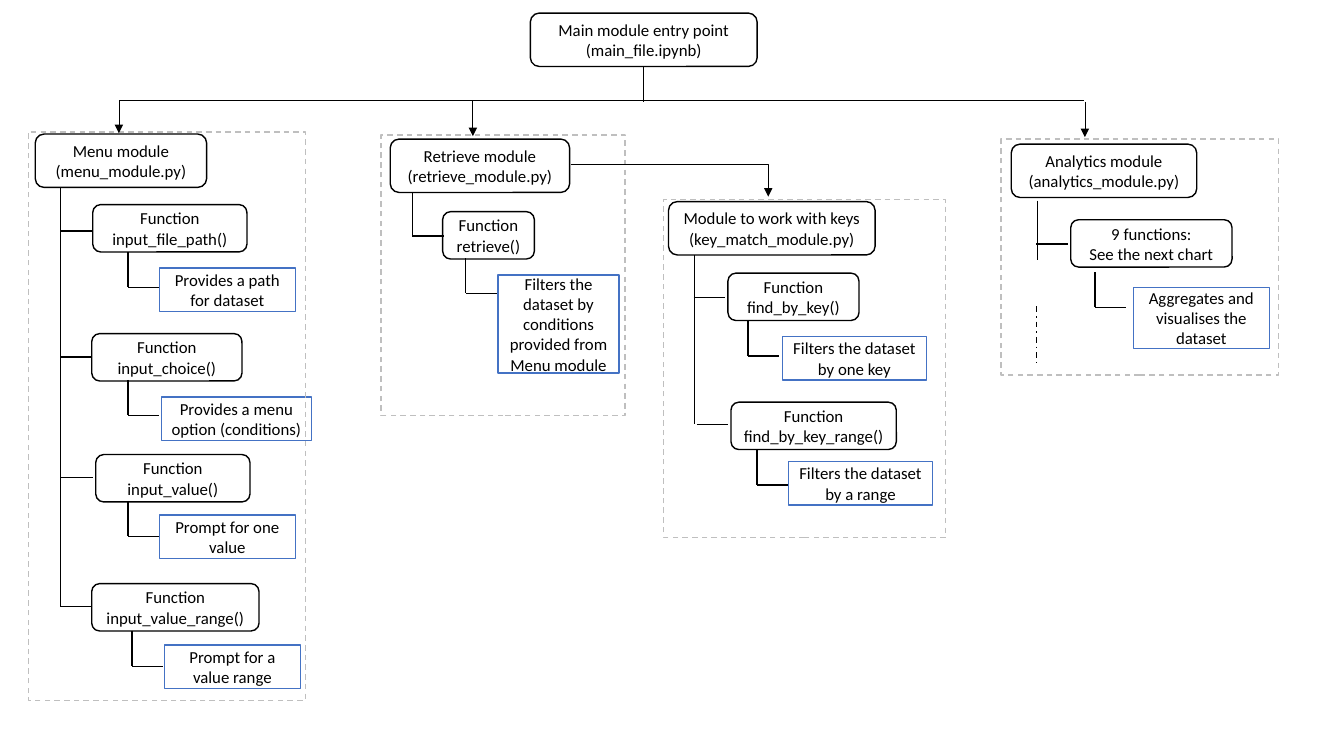
from lxml.etree import SubElement
from pptx import Presentation
from pptx.dml.color import RGBColor
from pptx.enum.dml import MSO_LINE
from pptx.enum.shapes import MSO_CONNECTOR, MSO_SHAPE
from pptx.enum.text import MSO_ANCHOR, PP_ALIGN
from pptx.oxml.ns import qn
from pptx.util import Pt

PX = 9144  # 100 px to the inch
BLACK = RGBColor(0x00, 0x00, 0x00)
WHITE = RGBColor(0xFF, 0xFF, 0xFF)
BLUE = RGBColor(0x44, 0x72, 0xC4)
GREY = RGBColor(0xBF, 0xBF, 0xBF)
FONT = {"name": "Calibri", "size": Pt(12), "bold": False}
FRAME = {"word_wrap": True, "vertical_anchor": MSO_ANCHOR.MIDDLE}

deck = Presentation()
deck.slide_width, deck.slide_height = 1333 * PX, 750 * PX
slide = deck.slides.add_slide(deck.slide_layouts[6])


def add_box(kind, place, edge, text=""):
    box = slide.shapes.add_shape(kind, *[v * PX for v in place])
    box.shadow.inherit = False
    box.line.color.rgb = edge
    box.line.width = Pt(1)
    if not text:
        box.fill.background()
        box.line.dash_style = MSO_LINE.DASH
        return
    box.fill.solid()
    box.fill.fore_color.rgb = WHITE
    frame = box.text_frame
    for key, value in FRAME.items():
        setattr(frame, key, value)
    frame.text = text
    for para in frame.paragraphs:
        para.alignment = PP_ALIGN.CENTER
        for key, value in FONT.items():
            setattr(para.font, key, value)
        para.font.color.rgb = BLACK


def add_line(ends, width=1, arrow=False, bent=False):
    kind = MSO_CONNECTOR.ELBOW if bent else MSO_CONNECTOR.STRAIGHT
    line = slide.shapes.add_connector(kind, *[v * PX for v in ends])
    line.line.color.rgb = BLACK
    line.line.width = Pt(width)
    props = line._element.spPr
    if bent:
        props.find(qn("a:prstGeom")).set("prst", "bentConnector2")
    if arrow:
        SubElement(props.find(qn("a:ln")), qn("a:tailEnd"), type="triangle")
    SubElement(props, qn("a:effectLst"))
    return line


# Trunks below each module: x, top, bottom
for x, top, end in [(60, 186, 602), (409, 191, 234),
                    (689, 252, 421), (1029, 199, 258)]:
    add_line((x, top, x, end))
more = add_line((1028, 304, 1028, 362))
more.line.dash_style = MSO_LINE.DASH_DOT

# Modules: left, top, width, title, file
for x, y, w, title, file in [
    (526, 13, 225, "Main module entry point", "main_file.ipynb"),
    (35, 133, 170, "Menu module", "menu_module.py"),
    (387, 138, 178, "Retrieve module", "retrieve_module.py"),
    (663, 200, 205, "Module to work with keys", "key_match_module.py"),
    (1003, 143, 184, "Analytics module", "analytics_module.py"),
]:
    add_box(MSO_SHAPE.ROUNDED_RECTANGLE, (x, y, w, 53), BLACK,
            f"{title}\n({file})")

# Functions: left, top, width, text
for x, y, w, text in [
    (92, 203, 153, "Function\ninput_file_path()"),
    (91, 331, 149, "Function\ninput_choice()"),
    (95, 451, 153, "Function\ninput_value()"),
    (91, 579, 166, "Function\ninput_value_range()"),
    (439, 210, 91, "Function\nretrieve()"),
    (722, 271, 130, "Function\nfind_by_key()"),
    (725, 399, 164, "Function\nfind_by_key_range()"),
    (1062, 218, 160, "9 functions:\nSee the next chart"),
]:
    add_box(MSO_SHAPE.ROUNDED_RECTANGLE, (x, y, w, 47), BLACK, text)

# Notes: left, top, width, height, text
for *place, text in [
    (158, 266, 135, 43, "Provides a path for dataset"),
    (160, 394, 149, 43, "Provides a menu option (conditions)"),
    (158, 511, 135, 43, "Prompt for one value"),
    (163, 640, 135, 43, "Prompt for a value range"),
    (494, 273, 120, 97,
     "Filters the dataset by conditions provided from Menu module"),
    (776, 334, 143, 43, "Filters the dataset by one key"),
    (782, 458, 143, 43, "Filters the dataset by a range"),
    (1124, 285, 135, 61, "Aggregates and visualises the dataset"),
]:
    add_box(MSO_SHAPE.RECTANGLE, place, BLUE, text)

# Dashed group frames
for place in [(28, 131, 275, 564), (378, 134, 242, 278),
              (658, 198, 280, 335), (993, 138, 275, 234)]:
    add_box(MSO_SHAPE.RECTANGLE, place, GREY)

# Branches from trunk to function
for x, y in [(60, 229), (60, 354), (61, 474), (60, 602),
             (409, 234), (688, 295), (691, 421), (1028, 242)]:
    add_line((x, y, x + 31, y))

# Steps from function to note
for x, y in [(127, 250), (127, 377), (127, 497), (131, 626),
             (462, 256), (742, 318), (751, 446), (1086, 270)]:
    add_line((x, y, x, y + 35))
    add_line((x, y + 35, x + 31, y + 35))

# Links between modules
add_line((638, 66, 638, 101), 0.5)
for x, y in [(469, 100), (1076, 101)]:
    add_line((x, y, x, y + 35), 0.5, arrow=True)
for ends in [(1075, 100, 118, 132), (566, 163, 762, 195)]:
    add_line(ends, 0.5, arrow=True, bent=True)

deck.save("out.pptx")
